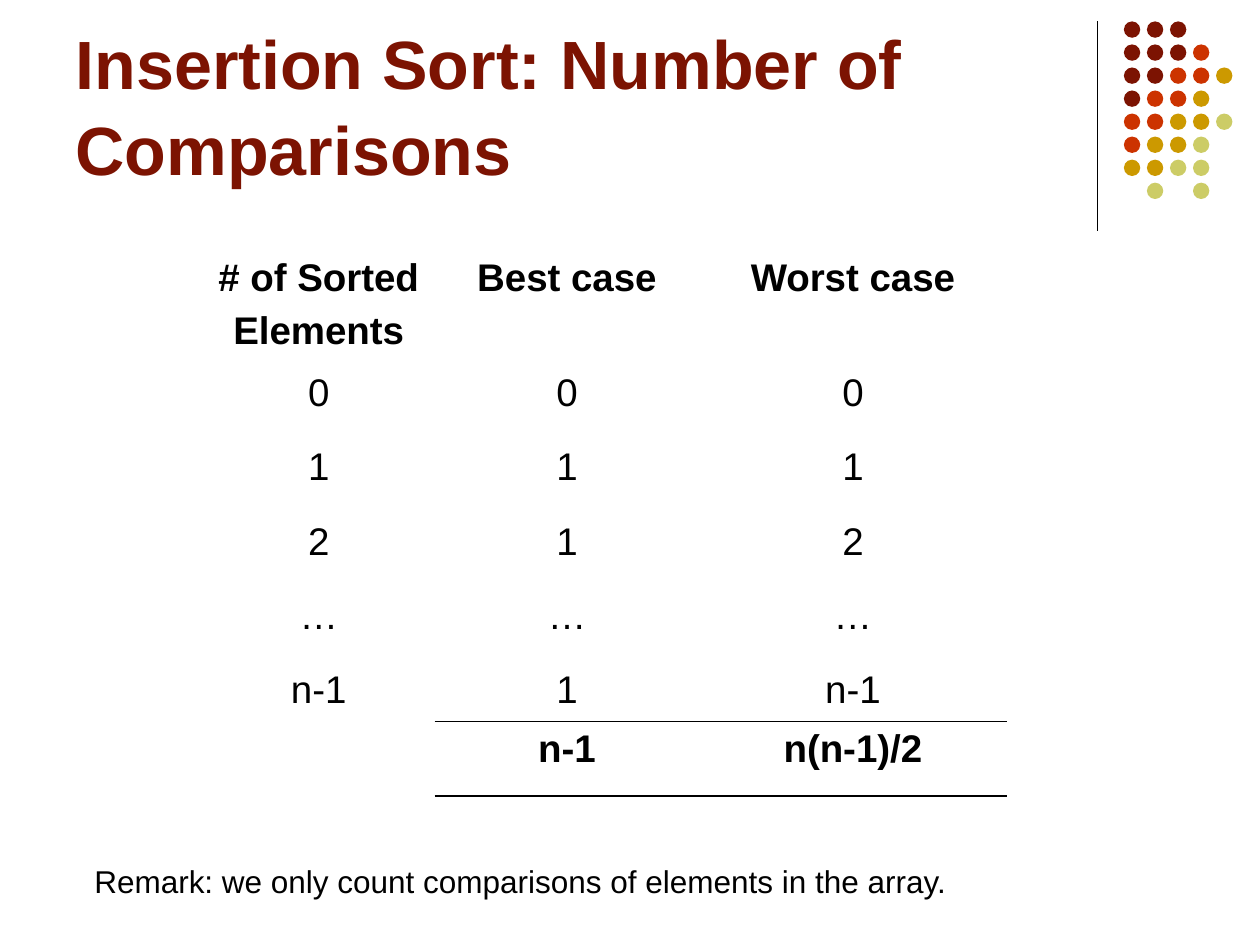
from pptx import Presentation
from pptx import util as u
from pptx.dml.color import RGBColor
from pptx.enum import shapes, text
from pptx.oxml.ns import qn
from lxml import etree

BLACK = RGBColor(0x00, 0x00, 0x00)
MAROON = RGBColor(0x7C, 0x13, 0x02)
RED = RGBColor(0xCC, 0x33, 0x00)
GOLD = RGBColor(0xCC, 0x99, 0x00)
LIME = RGBColor(0xCC, 0xCC, 0x66)

# One letter per dot, a blank where there is none
DOTS = ["MMM", "MMMR", "MMRRG", "MRRG", "RRGGL", "RGGL", "GGLL", " L L"]
HUES = {"M": MAROON, "R": RED, "G": GOLD, "L": LIME}

COLS = [1.84, 2.1, 2.44]
ROWS = [0.91, 0.59, 0.59, 0.59, 0.59, 0.47, 0.59]
CELLS = [
    ["# of Sorted\nElements", "Best case", "Worst case"],
    ["0", "0", "0"],
    ["1", "1", "1"],
    ["2", "1", "2"],
    ["…", "…", "…"],
    ["n-1", "1", "n-1"],
    ["", "n-1", "n(n-1)/2"],
]


class Deck:
    font = "Arial"

    def __init__(self):
        self.prs = Presentation()
        self.prs.slide_width = u.Inches(10)
        self.prs.slide_height = u.Inches(7.5)
        self.slide = self.prs.slides.add_slide(self.prs.slide_layouts[5])

    def style(self, para, size, color=BLACK, bold=False, align=text.PP_ALIGN.LEFT):
        para.alignment = align
        form = {"name": self.font, "size": u.Pt(size), "bold": bold}
        for key, value in form.items():
            setattr(para.font, key, value)
        para.font.color.rgb = color

    def title(self, words, x, y, w, h):
        shape = self.slide.shapes.title
        place = {"left": x, "top": y, "width": w, "height": h}
        for key, value in place.items():
            setattr(shape, key, u.Inches(value))
        frame = shape.text_frame
        frame.text = words
        frame.auto_size = text.MSO_AUTO_SIZE.NONE
        frame.vertical_anchor = text.MSO_ANCHOR.BOTTOM
        para = frame.paragraphs[0]
        para.line_spacing = 1.05
        self.style(para, 39, MAROON, True)

    def line(self, x1, y1, x2, y2):
        ends = [u.Inches(n) for n in (x1, y1, x2, y2)]
        line = self.slide.shapes.add_connector(shapes.MSO_CONNECTOR.STRAIGHT, *ends)
        line.line.color.rgb = BLACK
        line.line.width = u.Pt(0.75)
        etree.SubElement(line._element.spPr, qn("a:effectLst"))

    def dots(self, x, y, step, size):
        group = self.slide.shapes.add_group_shape()
        for row, marks in enumerate(DOTS):
            for col, mark in enumerate(marks):
                if mark == " ":
                    continue
                place = (x + col * step, y + row * step, size, size)
                dot = group.shapes.add_shape(
                    shapes.MSO_SHAPE.OVAL, *[u.Inches(n) for n in place])
                dot.shadow.inherit = False
                dot.fill.solid()
                dot.fill.fore_color.rgb = HUES[mark]
                dot.line.fill.background()

    def border(self, cell, widths):
        props = cell._tc.get_or_add_tcPr()
        for side, tag in enumerate(("lnL", "lnR", "lnT", "lnB")):
            edge = etree.Element(qn("a:" + tag))
            width = widths.get(tag, 0)
            edge.set("w", str(int(u.Pt(width))))
            if width:
                fill = etree.SubElement(edge, qn("a:solidFill"))
                etree.SubElement(fill, qn("a:srgbClr")).set("val", str(BLACK))
            else:
                etree.SubElement(edge, qn("a:noFill"))
            props.insert(side, edge)

    def table(self, x, y):
        place = [u.Inches(n) for n in (x, y, sum(COLS), sum(ROWS))]
        table = self.slide.shapes.add_table(len(ROWS), len(COLS), *place).table
        table.first_row = table.horz_banding = False
        for col, width in zip(table.columns, COLS):
            col.width = u.Inches(width)
        for row, height in zip(table.rows, ROWS):
            row.height = u.Inches(height)
        last = len(ROWS) - 1
        for r, words in enumerate(CELLS):
            for c, word in enumerate(words):
                cell = table.cell(r, c)
                cell.text = word
                cell.fill.background()
                for n, para in enumerate(cell.text_frame.paragraphs):
                    if n:
                        para.space_before = u.Pt(5.5)
                    self.style(para, 22, bold=r in (0, last),
                               align=text.PP_ALIGN.CENTER)
                # Rules above and below the totals
                rules = {}
                if c and r == last - 1:
                    rules = {"lnB": 0.45}
                elif c and r == last:
                    rules = {"lnT": 0.45, "lnB": 1.08}
                self.border(cell, rules)

    def note(self, words, x, y, w, h):
        box = self.slide.shapes.add_textbox(*[u.Inches(n) for n in (x, y, w, h)])
        frame = box.text_frame
        frame.text = words
        frame.word_wrap = False
        frame.auto_size = text.MSO_AUTO_SIZE.SHAPE_TO_FIT_TEXT
        self.style(frame.paragraphs[0], 18)


def main():
    deck = Deck()
    # Corner ornament
    deck.line(8.71, 0.17, 8.71, 1.83)
    deck.dots(8.92, 0.17, 1.28 / 7, 0.13)
    # Content
    deck.title("Insertion Sort: Number of Comparisons", 0.5, 0.13, 8.25, 1.42)
    deck.table(1.61, 1.99)
    deck.note("Remark: we only count comparisons of elements in the array.",
              0.65, 6.79, 6.98, 0.4)
    deck.prs.save("out.pptx")


if __name__ == "__main__":
    main()
